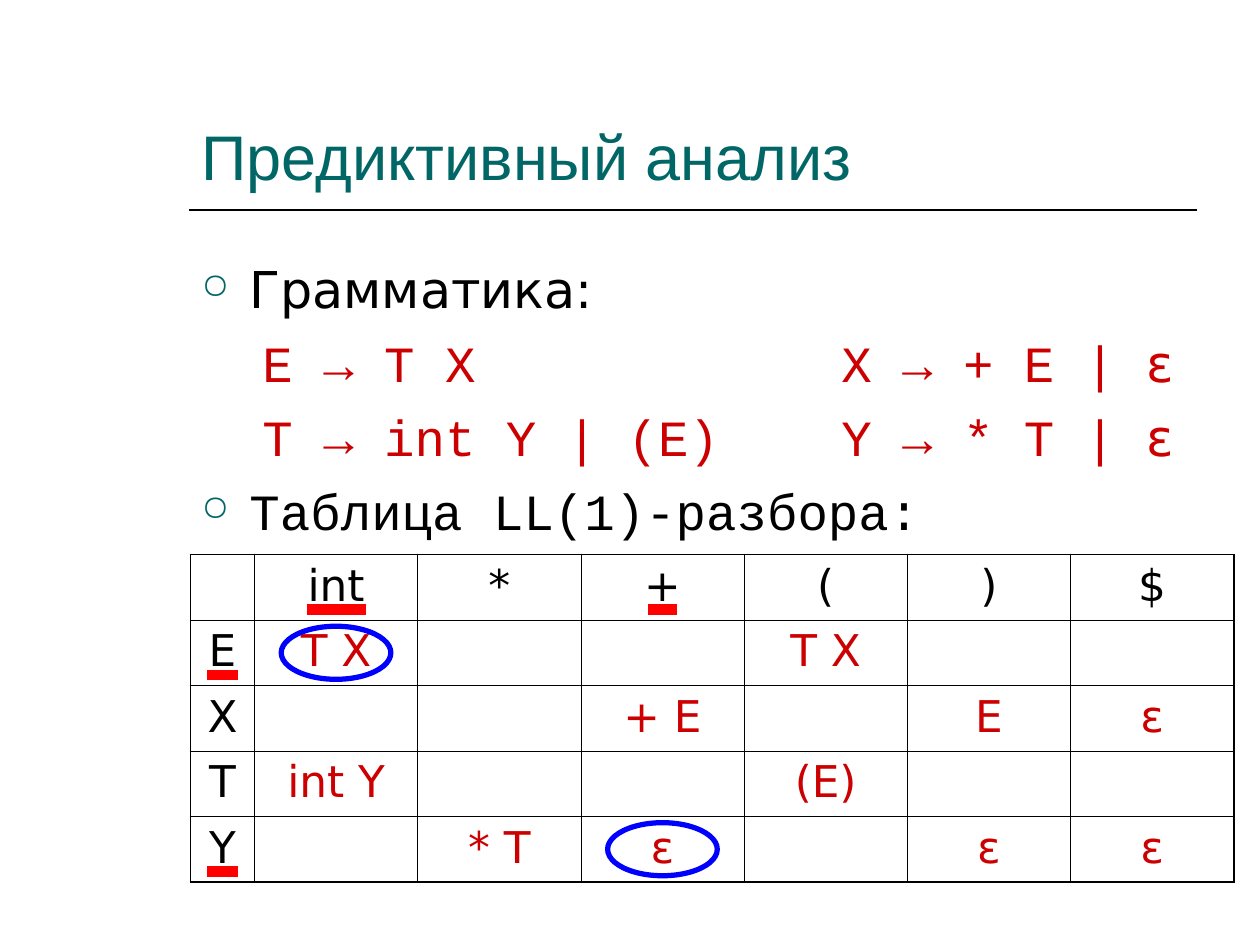
from lxml import etree
from pptx import Presentation
from pptx.dml.color import RGBColor
from pptx.enum.shapes import MSO_CONNECTOR as Connector, MSO_SHAPE as Preset
from pptx.enum.text import MSO_ANCHOR as Anchor, PP_ALIGN as Align
from pptx.oxml.ns import qn
from pptx.util import Cm, Pt

BLACK = RGBColor(0, 0, 0)
TEAL = RGBColor(0x00, 0x66, 0x66)
CRIMSON = RGBColor(0xCC, 0, 0)
RED = RGBColor(0xFF, 0, 0)
BLUE = RGBColor(0, 0, 0xFF)
SANS, MONO = "DejaVu Sans", "Courier New"

# Content
TITLE = "Предиктивный анализ"
# Each paragraph: is it a bullet, then its (text, font) runs
BODY = [
    (True, [("Грамматика:", SANS)]),
    (False, [("\tE → T X\tX → + E | ", MONO), ("ε", SANS)]),
    (False, [("\tT → int Y | (E)\tY → * T | ", MONO), ("ε", SANS)]),
    (True, [("Таблица LL(1)-разбора:", MONO)]),
]
PARSE_TABLE = [
    ["", "int", "*", "+", "(", ")", "$"],
    ["E", "T X", "", "", "T X", "", ""],
    ["X", "", "", "+ E", "", "Ε", "ε"],
    ["T", "int Y", "", "", "(E)", "", ""],
    ["Y", "", "* T", "ε", "", "ε", "ε"],
]
UNDERLINED = [(1, 0, 0.61), (0, 1, 1.19), (4, 0, 0.61), (0, 3, 0.59)]  # row, column, width
CIRCLED = [(1, 1), (4, 3)]  # row, column

# Layout in centimetres
TABLE_LEFT, TABLE_TOP = 3.84, 11.18
HEAD_WIDTH, COLUMN_WIDTH, ROW_HEIGHT = 1.29, 3.29, 1.32
CIRCLE_WIDTH, CIRCLE_HEIGHT = 2.21, 1.07
UNDERLINE_DROP = 0.45
GRAMMAR_TABS = (1.23, 12.9)
BULLET_INDENT = 0.97


def add_span(para, text, *, size, font, color):
    span = para.add_run()
    span.text = text
    span.font.size, span.font.name = Pt(size), font
    span.font.color.rgb = color


def add_line(x1, y1, x2, y2, *, color, width):
    line = page.shapes.add_connector(Connector.STRAIGHT, Cm(x1), Cm(y1), Cm(x2), Cm(y2))
    line.line.color.rgb, line.line.width = color, Pt(width)
    etree.SubElement(line._element.spPr, qn("a:effectLst"))


def set_bullet(para):
    props = para._p.get_or_add_pPr()
    props.set("marL", str(Cm(BULLET_INDENT)))
    props.set("indent", str(-Cm(BULLET_INDENT)))
    color = etree.SubElement(props, qn("a:buClr"))
    etree.SubElement(color, qn("a:srgbClr"), val=str(TEAL))
    etree.SubElement(props, qn("a:buSzPct"), val="70000")
    etree.SubElement(props, qn("a:buChar"), char="○")


def set_tabs(para, stops):
    tabs = etree.SubElement(para._p.get_or_add_pPr(), qn("a:tabLst"))
    for stop in stops:
        etree.SubElement(tabs, qn("a:tab"), pos=str(Cm(stop)), algn="l")


def set_borders(cell, widths):
    props = cell._tc.get_or_add_tcPr()
    for index, (side, width) in enumerate(widths.items()):
        border = etree.Element(qn(f"a:ln{side}"), w=str(Pt(width)))
        fill = etree.SubElement(border, qn("a:solidFill"))
        etree.SubElement(fill, qn("a:srgbClr"), val=str(BLACK))
        props.insert(index, border)


def cell_center(row, column):
    if column == 0:
        x = TABLE_LEFT + HEAD_WIDTH / 2
    else:
        x = TABLE_LEFT + HEAD_WIDTH + COLUMN_WIDTH * (column - 0.5)
    return x, TABLE_TOP + ROW_HEIGHT * (row + 0.5)


deck = Presentation()
deck.slide_width, deck.slide_height = Cm(25.4), Cm(19.05)
page = deck.slides.add_slide(deck.slide_layouts[5])

# Title and rule
title = page.shapes.title
title.left, title.top, title.width, title.height = Cm(3.81), Cm(0.85), Cm(20.32), Cm(3.17)
title.text_frame.vertical_anchor = Anchor.BOTTOM
title.text_frame.paragraphs[0].alignment = Align.LEFT
add_span(title.text_frame.paragraphs[0], TITLE, size=36, font="Arial", color=TEAL)
add_line(3.81, 4.24, 24.13, 4.24, color=BLACK, width=1)

# Grammar
box = page.shapes.add_textbox(Cm(3.81), Cm(5.08), Cm(20.32), Cm(11.43))
frame = box.text_frame
frame.word_wrap = True
for number, (bulleted, spans) in enumerate(BODY):
    para = frame.add_paragraph() if number else frame.paragraphs[0]
    para.space_before = Pt(7.3)
    if bulleted:
        set_bullet(para)
    else:
        set_tabs(para, GRAMMAR_TABS)
    for text, font in spans:
        add_span(para, text, size=29, font=font, color=BLACK if bulleted else CRIMSON)

# Parse table
row_count, column_count = len(PARSE_TABLE), len(PARSE_TABLE[0])
widths = [HEAD_WIDTH] + [COLUMN_WIDTH] * (column_count - 1)
table = page.shapes.add_table(row_count, column_count, Cm(TABLE_LEFT), Cm(TABLE_TOP),
                              Cm(sum(widths)), Cm(ROW_HEIGHT * row_count)).table
table.first_row = table.horz_banding = False
for column, width in zip(table.columns, widths):
    column.width = Cm(width)
for r, texts in enumerate(PARSE_TABLE):
    table.rows[r].height = Cm(ROW_HEIGHT)
    for c, text in enumerate(texts):
        cell = table.cell(r, c)
        cell.fill.background()
        outer = {"L": c == 0, "R": c == column_count - 1, "T": r == 0, "B": r == row_count - 1}
        set_borders(cell, {side: 1.08 if edge else 0.45 for side, edge in outer.items()})
        if text:
            para = cell.text_frame.paragraphs[0]
            para.alignment, para.space_before = Align.CENTER, Pt(6.2)
            color = CRIMSON if r and c else BLACK
            add_span(para, text, size=25, font=SANS, color=color)

# Underlines and circles
for row, column, width in UNDERLINED:
    x, y = cell_center(row, column)
    y += UNDERLINE_DROP
    add_line(x - width / 2, y, x + width / 2, y, color=RED, width=6)
for row, column in CIRCLED:
    x, y = cell_center(row, column)
    circle = page.shapes.add_shape(Preset.OVAL, Cm(x - CIRCLE_WIDTH / 2), Cm(y - CIRCLE_HEIGHT / 2),
                                   Cm(CIRCLE_WIDTH), Cm(CIRCLE_HEIGHT))
    circle.shadow.inherit = False
    circle.fill.background()
    circle.line.color.rgb, circle.line.width = BLUE, Pt(3)

deck.save("out.pptx")
